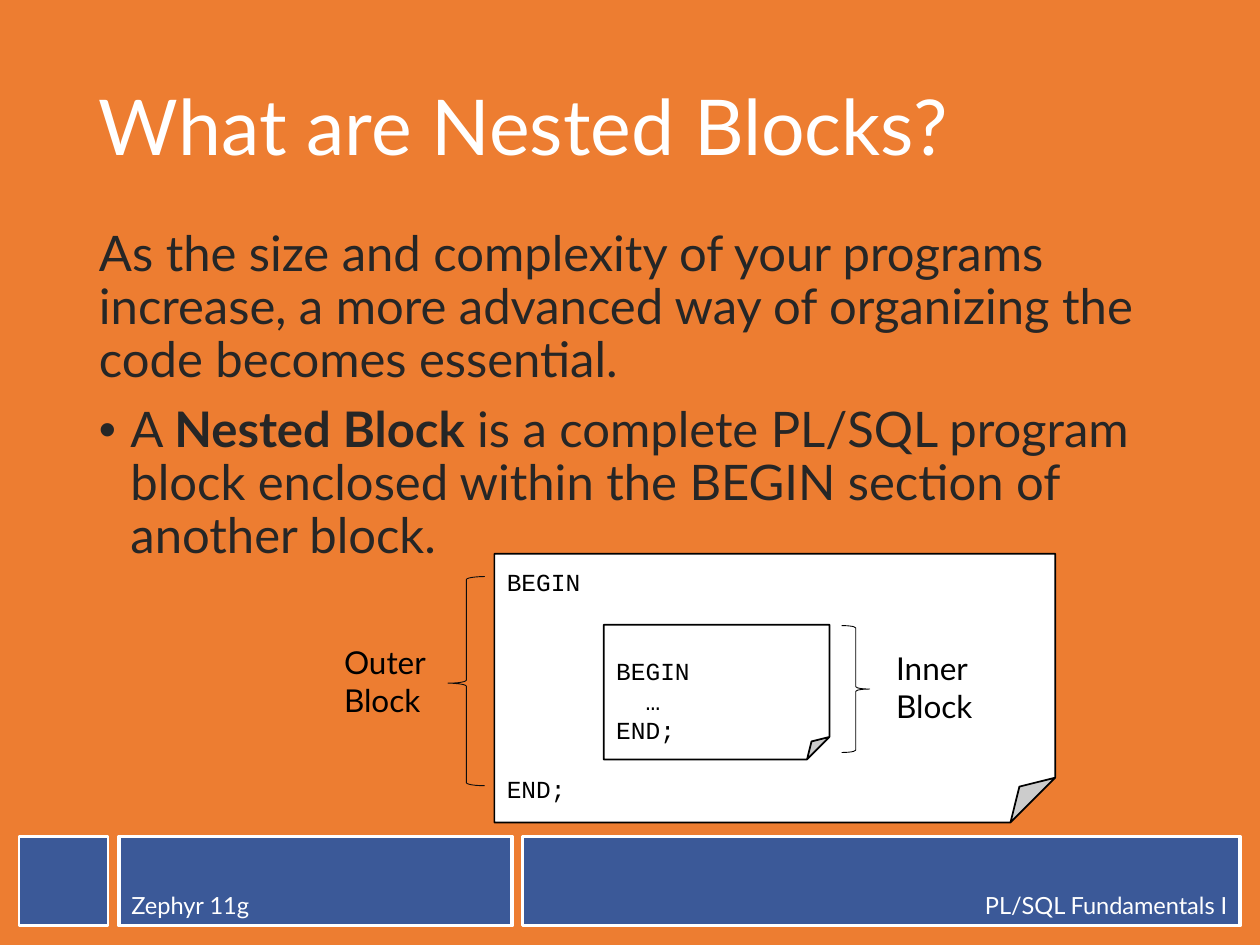
from dataclasses import dataclass

from lxml import etree
from pptx import Presentation
from pptx.dml.color import RGBColor
from pptx.enum.shapes import MSO_SHAPE
from pptx.enum.text import MSO_ANCHOR, PP_ALIGN
from pptx.oxml.ns import qn
from pptx.util import Pt

RECT, FOLD = MSO_SHAPE.RECTANGLE, MSO_SHAPE.FOLDED_CORNER
OPEN, CLOSE = MSO_SHAPE.LEFT_BRACE, MSO_SHAPE.RIGHT_BRACE
TOP, MIDDLE, BOTTOM = MSO_ANCHOR.TOP, MSO_ANCHOR.MIDDLE, MSO_ANCHOR.BOTTOM
LEFT, RIGHT = PP_ALIGN.LEFT, PP_ALIGN.RIGHT


@dataclass(frozen=True)
class Theme:
    """Colours, fonts and type sizes of the slide."""
    back: str = "ED7D31"
    bar: str = "3B5998"
    white: str = "FFFFFF"
    black: str = "000000"
    body: str = "262626"
    brace: str = "0D0D0D"
    sans: str = "Lato"
    mono: str = "Courier New"
    head_size: float = 44
    body_size: float = 28
    label_size: float = 18
    code_size: float = 14
    foot_size: float = 13.5


THEME = Theme()


def add_run(para, text, size, color, font=THEME.sans, bold=False):
    """Add one styled run to a paragraph."""
    run = para.add_run()
    run.text = text
    run.font.name, run.font.size, run.font.bold = font, Pt(size), bold
    run.font.color.rgb = RGBColor.from_string(color)


def add_text(slide, box, anchor=TOP):
    """Add a wrapping text box and return its frame."""
    frame = slide.shapes.add_textbox(*map(Pt, box)).text_frame
    frame.word_wrap = True
    frame.vertical_anchor = anchor
    return frame


def add_form(slide, kind, box, fill, line, width):
    """Add a flat preset shape with the given fill and outline."""
    shape = slide.shapes.add_shape(kind, *map(Pt, box))
    shape.shadow.inherit = False
    if fill:
        shape.fill.solid()
        shape.fill.fore_color.rgb = RGBColor.from_string(fill)
    else:
        shape.fill.background()
    shape.line.color.rgb = RGBColor.from_string(line)
    shape.line.width = Pt(width)
    return shape


def add_bullet(para, indent):
    """Give a paragraph a hanging round bullet."""
    props = para._p.get_or_add_pPr()
    props.set("marL", str(Pt(indent)))
    props.set("indent", str(-Pt(indent)))
    etree.SubElement(props, qn("a:buFont")).set("typeface", "Arial")
    etree.SubElement(props, qn("a:buChar")).set("char", "•")


def add_foot(slide, box):
    """Place the square and the two captioned bars along the bottom."""
    x, y, w, h = box
    gap, mid = 6.2, 224.5
    add_form(slide, RECT, (x, y, h, h), THEME.bar, THEME.white, 1.5)
    start = x + h + gap
    last = start + mid + gap
    bars = (
        (start, mid, LEFT, "Zephyr 11g"),
        (last, x + w - last, RIGHT, "PL/SQL Fundamentals I"),
    )
    for left, width, align, text in bars:
        bar = add_form(slide, RECT, (left, y, width, h), THEME.bar, THEME.white, 2)
        bar.text_frame.word_wrap = True
        bar.text_frame.vertical_anchor = BOTTOM
        para = bar.text_frame.paragraphs[0]
        para.alignment = align
        add_run(para, text, THEME.foot_size, THEME.white)


def add_head(slide, box):
    """Place the slide title."""
    para = add_text(slide, box, MIDDLE).paragraphs[0]
    para.line_spacing = 0.9
    add_run(para, "What are Nested Blocks?", THEME.head_size, THEME.white)


def add_body(slide, box):
    """Place the opening statement and the bulleted definition."""
    frame = add_text(slide, box)
    first, point = frame.paragraphs[0], frame.add_paragraph()
    first.line_spacing = point.line_spacing = 0.9
    point.space_before = Pt(10)
    add_bullet(point, 18)
    add_run(first, "As the size and complexity of your programs increase, a more "
            "advanced way of organizing the code becomes essential.",
            THEME.body_size, THEME.body)
    parts = (
        ("A ", False),
        ("Nested Block", True),
        (" is a complete PL/SQL program block enclosed within the BEGIN "
         "section of another block.", False),
    )
    for text, bold in parts:
        add_run(point, text, THEME.body_size, THEME.body, bold=bold)


def add_code(slide, box, lines, inset, gap=0):
    """Place a folded sheet of code, with a gap between its lines."""
    sheet = add_form(slide, FOLD, box, THEME.white, THEME.black, 1)
    frame = sheet.text_frame
    frame.word_wrap = True
    frame.vertical_anchor = TOP
    frame.margin_top = Pt(inset)
    frame.margin_bottom = 0
    for i, line in enumerate(lines):
        para = frame.add_paragraph() if i else frame.paragraphs[0]
        para.alignment = LEFT
        if i and gap:
            para.space_before = Pt(gap)
        add_run(para, line, THEME.code_size, THEME.black, THEME.mono)


def add_label(slide, box, text):
    """Place the name of a block beside its brace."""
    para = add_text(slide, box).paragraphs[0]
    add_run(para, text, THEME.label_size, THEME.black)


def add_nest(slide, box):
    """Place the outer and inner code sheets with their braces and labels."""
    x, y, w, h = box
    add_code(slide, box, ("BEGIN", "END;"), 7.6, 101.5)
    add_code(slide, (x + 62.5, y + 40.5, 129, 77), ("BEGIN", "  …", "END;"), 18)
    outer = add_form(slide, OPEN, (x - 26.5, y + 13, 21, 119.5),
                     None, THEME.brace, 0.5)
    outer.adjustments[1] = 0.51
    add_form(slide, CLOSE, (x + 198.5, y + 41, 16, 72.5), None, THEME.black, 0.5)
    add_label(slide, (x - 93, y + 47.5, 70, 51), "Outer Block")
    add_label(slide, (x + 222.5, y + 51, 70, 51), "Inner Block")


def main():
    """Build and save the slide."""
    deck = Presentation()
    deck.slide_width, deck.slide_height = Pt(720), Pt(540)
    slide = deck.slides.add_slide(deck.slide_layouts[6])
    slide.background.fill.solid()
    slide.background.fill.fore_color.rgb = RGBColor.from_string(THEME.back)
    add_foot(slide, (10.8, 478, 697.7, 51))
    add_head(slide, (49.5, 28.8, 621, 92))
    add_body(slide, (49.5, 127.5, 621, 348))
    add_nest(slide, (282.5, 316.5, 320.5, 153.5))
    deck.save("out.pptx")


if __name__ == "__main__":
    main()
